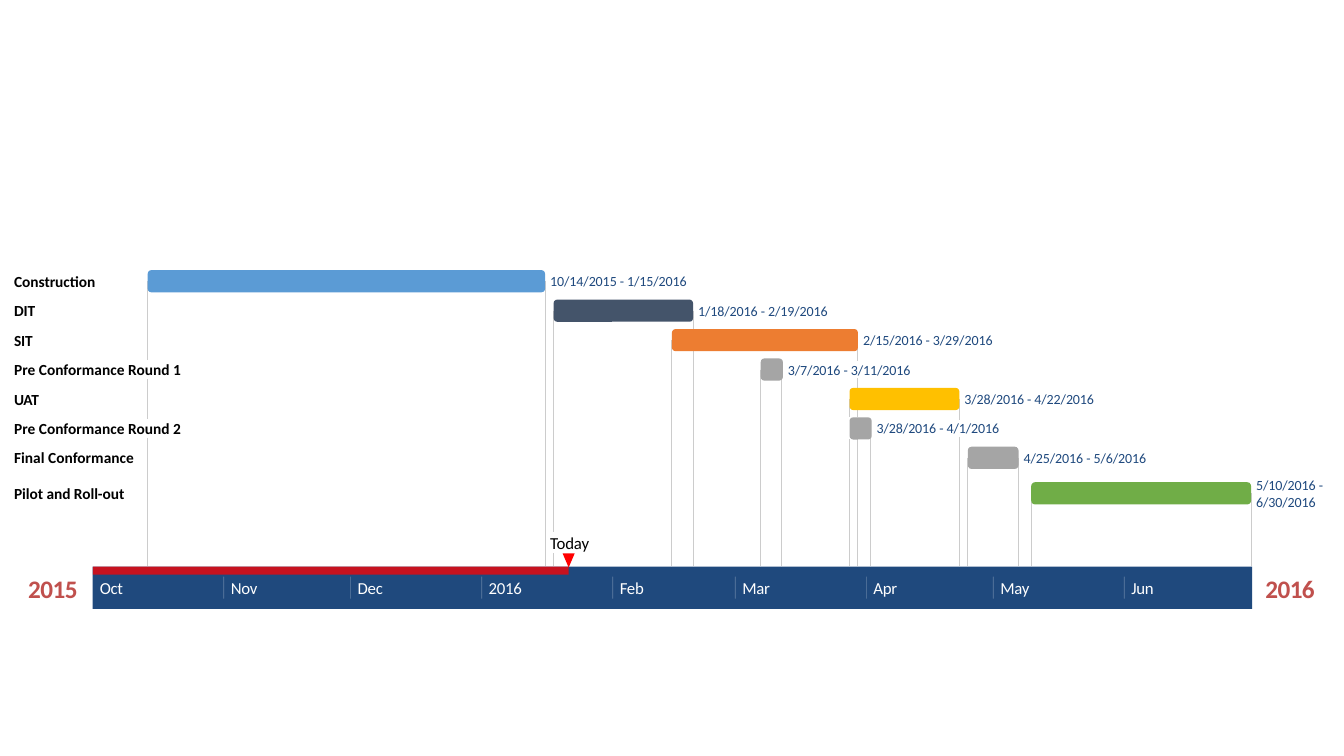
from itertools import accumulate

from lxml import etree
from pptx import Presentation
from pptx.dml.color import RGBColor
from pptx.enum.shapes import MSO_CONNECTOR, MSO_SHAPE
from pptx.enum.text import MSO_ANCHOR, PP_ALIGN
from pptx.oxml.ns import qn
from pptx.util import Pt

STRAIGHT = MSO_CONNECTOR.STRAIGHT
RECTANGLE, ROUNDED = MSO_SHAPE.RECTANGLE, MSO_SHAPE.ROUNDED_RECTANGLE
TRIANGLE = MSO_SHAPE.ISOSCELES_TRIANGLE
MIDDLE = MSO_ANCHOR.MIDDLE
LEFT, CENTER = PP_ALIGN.LEFT, PP_ALIGN.CENTER

BLACK = RGBColor(0x00, 0x00, 0x00)
WHITE = RGBColor(0xFF, 0xFF, 0xFF)
RED = RGBColor(0xFF, 0x00, 0x00)
BRICK = RGBColor(0xC0, 0x50, 0x4D)
NAVY = RGBColor(0x1F, 0x49, 0x7D)
DATE_BLUE = RGBColor(0x1F, 0x49, 0x7E)
GUIDE_GRAY = RGBColor(0xCC, 0xCC, 0xCC)
BLUE = RGBColor(0x5B, 0x9B, 0xD5)
SLATE = RGBColor(0x44, 0x54, 0x6A)
ORANGE = RGBColor(0xED, 0x7D, 0x31)
GRAY = RGBColor(0xA5, 0xA5, 0xA5)
GOLD = RGBColor(0xFF, 0xC0, 0x00)
GREEN = RGBColor(0x70, 0xAD, 0x47)

# label, label width, letter spacing, start, end, date width, date lines, colour
TASKS = [
    ("Construction", 90, -0.05, "10/14/2015", "1/15/2016", 139, 1, BLUE),
    ("DIT", 30, -0.1, "1/18/2016", "2/19/2016", 132, 1, SLATE),
    ("SIT", 30, -0.1, "2/15/2016", "3/29/2016", 132, 1, ORANGE),
    ("Pre Conformance Round 1", 180, 0, "3/7/2016", "3/11/2016", 124, 1, GRAY),
    ("UAT", 35, -0.2, "3/28/2016", "4/22/2016", 132, 1, GOLD),
    ("Pre Conformance Round 2", 180, 0, "3/28/2016", "4/1/2016", 124, 1, GRAY),
    ("Final Conformance", 130, 0, "4/25/2016", "5/6/2016", 124, 1, GRAY),
    ("Pilot and Roll-out", 120, -0.05, "5/10/2016", "6/30/2016", 71, 2, GREEN),
]
# axis text, month number, days
MONTHS = [
    ("Oct", 10, 31), ("Nov", 11, 30), ("Dec", 12, 31),
    ("2016", 1, 31), ("Feb", 2, 29), ("Mar", 3, 31),
    ("Apr", 4, 30), ("May", 5, 31), ("Jun", 6, 30),
]
YEARS = [("2015", 28), ("2016", 1255)]

PX = 9144  # 100 px to the inch
SLIDE_W, SLIDE_H = 1333, 750
AXIS_X, AXIS_Y, AXIS_W, AXIS_H = 92, 562, 1150, 42
DAY_W = 4.193
MONTH_TEXT_W = 60
TODAY_X = 564
TODAY_BOX = (545, 528, 40, 21)
LABEL_X, LABEL_H = 14, 19
FIRST_ROW_Y, ROW_PITCH, TWO_LINE_SHIFT = 268, 29.2, 6
BAR_H = MIN_BAR_W = 22
DATE_GAP, DATE_LINE_H = 5, 17

offsets = list(accumulate((days for _, _, days in MONTHS), initial=0))
month_start = {month: day for (_, month, _), day in zip(MONTHS, offsets)}

deck = Presentation()
deck.slide_width, deck.slide_height = SLIDE_W * PX, SLIDE_H * PX
page = deck.slides.add_slide(deck.slide_layouts[6])


def emu(*lengths):
    return [round(length * PX) for length in lengths]


def day_x(day):
    return AXIS_X + day * DAY_W


def day_of(date):
    """Days from the start of the axis to the date."""
    month, day, _ = map(int, date.split("/"))
    return month_start[month] + day - 1


def set_opacity(fill_parent, percent):
    color = next(fill_parent.iter(qn("a:srgbClr")))
    etree.SubElement(color, qn("a:alpha")).set("val", str(percent * 1000))


def add_line(x, top, bottom, color, width):
    line = page.shapes.add_connector(STRAIGHT, *emu(x, top, x, bottom))
    line.line.color.rgb = color
    line.line.width = Pt(width)
    properties = line.element.spPr
    etree.SubElement(properties, qn("a:effectLst"))
    return properties


def add_block(kind, box, color):
    block = page.shapes.add_shape(kind, *emu(*box))
    block.shadow.inherit = False
    block.fill.solid()
    block.fill.fore_color.rgb = color
    block.line.fill.background()
    return block


def add_text(text, box, size, color, spacing, bold=False, align=LEFT):
    frame = page.shapes.add_textbox(*emu(*box)).text_frame
    frame.margin_left = frame.margin_right = frame.margin_top = frame.margin_bottom = 0
    frame.vertical_anchor = MIDDLE
    frame.word_wrap = True
    para = frame.paragraphs[0]
    para.alignment = align
    span = para.add_run()
    span.text = text
    span.font.name, span.font.size, span.font.bold = "Calibri", Pt(size), bold
    span.font.color.rgb = color
    span.font._element.set("spc", str(round(spacing * 100)))


def task_boxes(row, task):
    """Boxes of the bar, the date text and the label of one task."""
    _, label_w, _, start, end, date_w, date_lines, _ = task
    left, right = day_x(day_of(start)), day_x(day_of(end) + 1)
    top = FIRST_ROW_Y + row * ROW_PITCH + (date_lines - 1) * TWO_LINE_SHIFT
    width = max(right - left, MIN_BAR_W)
    middle = top + BAR_H / 2
    date_h = date_lines * DATE_LINE_H
    return [
        (left, top, width, BAR_H),
        (left + width + DATE_GAP, middle - date_h / 2, date_w, date_h),
        (LABEL_X, middle - LABEL_H / 2, label_w, LABEL_H),
    ]


def add_guide(x, top, obstacles):
    """Drop a line to the axis, broken wherever it meets an obstacle."""
    for left, box_top, width, height in obstacles:
        if left <= x <= left + width:
            if box_top > top:
                add_line(x, top, box_top, GUIDE_GRAY, 0.75)
            top = max(top, box_top + height)
    add_line(x, top, AXIS_Y, GUIDE_GRAY, 0.75)


layout = [task_boxes(row, task) for row, task in enumerate(TASKS)]

guided_days = set()
for row, (_, _, _, start, end, *_) in enumerate(TASKS):
    bar_top = layout[row][0][1]
    below = [box for boxes in layout[row + 1:] for box in boxes] + [TODAY_BOX]
    for day in (day_of(start), day_of(end) + 1):
        if day not in guided_days:
            guided_days.add(day)
            add_guide(day_x(day), bar_top + BAR_H / 2, below)

for year, x in YEARS:
    add_text(year, (x, 568, 49, 31), 18, BRICK, -0.4, bold=True, align=CENTER)
add_block(RECTANGLE, (AXIS_X, AXIS_Y, AXIS_W, AXIS_H), NAVY)
elapsed = add_block(RECTANGLE, (AXIS_X, AXIS_Y, TODAY_X - AXIS_X, 8), RED)
set_opacity(elapsed.element.spPr, 75)
add_block(TRIANGLE, (TODAY_X - 6, 549, 12, 14), RED).rotation = 180
add_text("Today", TODAY_BOX, 12, BLACK, -0.1, align=CENTER)

for (name, _, _), day in zip(MONTHS, offsets):
    x = day_x(day)
    if day:
        set_opacity(add_line(x, 572, 594, WHITE, 0.5), 30)
    add_text(name, (x + 7, 573, MONTH_TEXT_W, 20), 12, WHITE, -0.2)

for task, (bar, date_box, label_box) in zip(TASKS, layout):
    label, _, spacing, start, end, _, _, color = task
    add_block(ROUNDED, bar, color)
    add_text(f"{start} - {end}", date_box, 10, DATE_BLUE, -0.05)
    add_text(label, label_box, 11, BLACK, spacing, bold=True)

deck.save("out.pptx")
